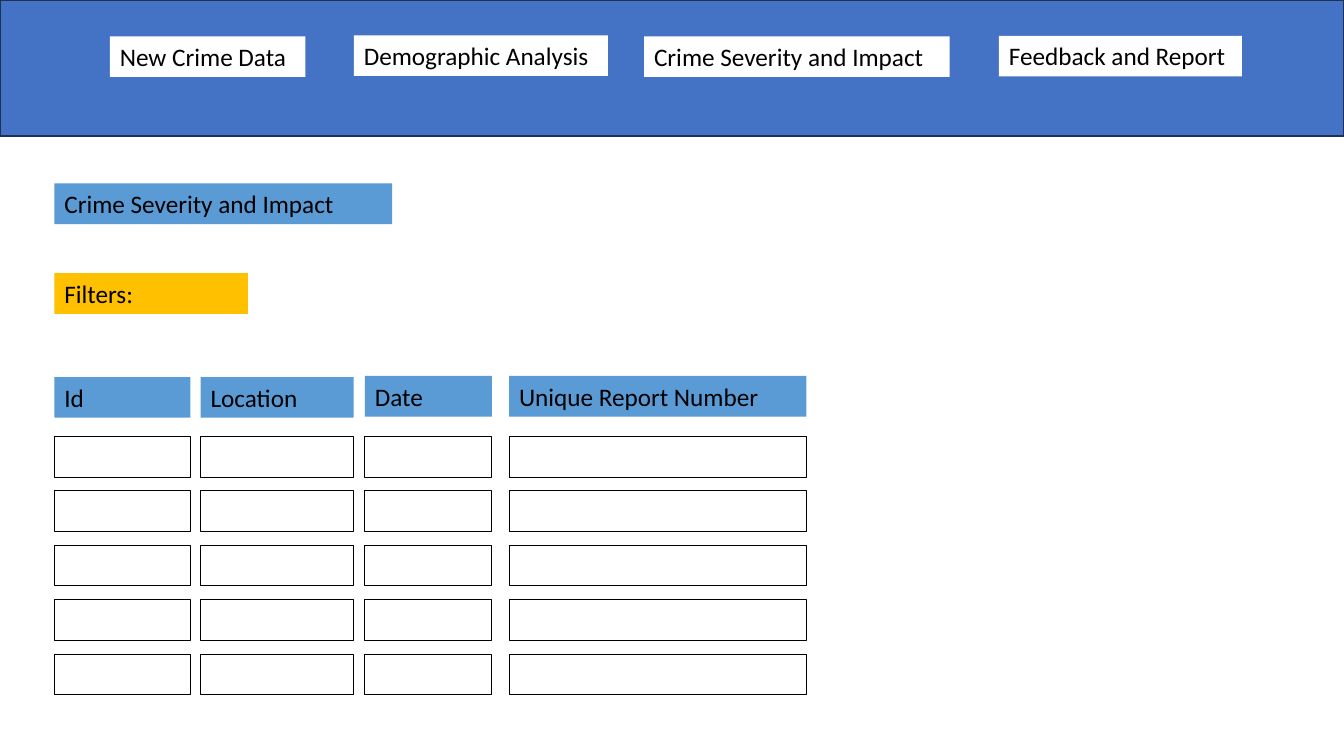
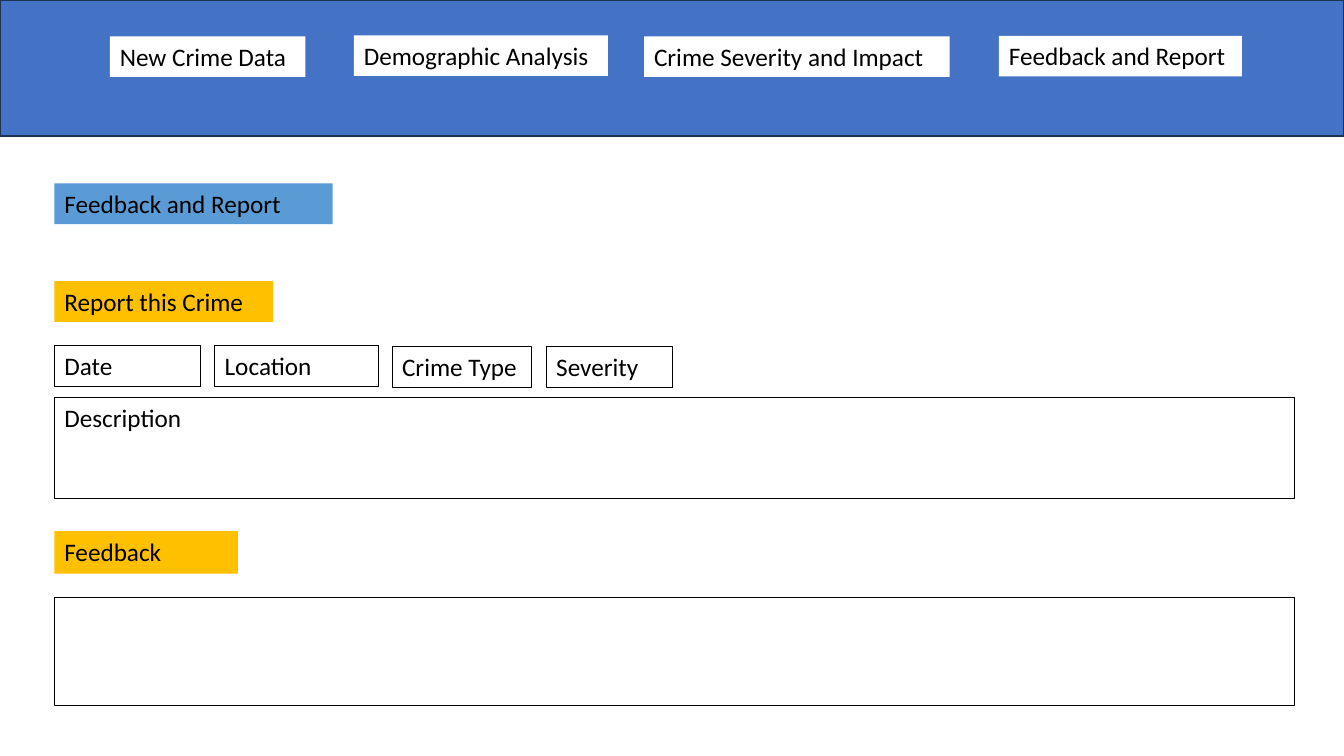
import pptx
import pptx.util
import pptx.dml.color
import pptx.enum.shapes
import pptx.enum.text

# Shared look
BAND, BAND_EDGE = "4472C4", "1E3256"
BLUE, AMBER, WHITE, BLACK = "5B9BD5", "FFC000", "FFFFFF", "000000"
FRAME_FORMAT = {"word_wrap": True, "vertical_anchor": pptx.enum.text.MSO_ANCHOR.TOP}
FONT_FORMAT = {"name": "Calibri", "size": pptx.util.Pt(18)}

# Shared layout, in percent of the slide's width and height
MARGIN, FULL_WIDTH = 4.05, 92.25
LABEL_HEIGHT = 5.38
TITLE_TOP = 24.27
NAVIGATION = [
    ("New Crime Data", 8.18, 4.8, 14.55),
    ("Demographic Analysis", 26.33, 4.67, 18.9),
    ("Crime Severity and Impact", 47.93, 4.8, 22.73),
    ("Feedback and Report", 74.33, 4.73, 18.08),
]

deck = pptx.Presentation()
deck.slide_width = pptx.util.Inches(13.33)
deck.slide_height = pptx.util.Inches(7.5)


def color(code):
    return pptx.dml.color.RGBColor.from_string(code)


def add_box(page, left, top, width, height=LABEL_HEIGHT, text="", fill=None, line=None, weight=0.75):
    across, down = deck.slide_width / 100, deck.slide_height / 100
    box = page.shapes.add_shape(
        pptx.enum.shapes.MSO_SHAPE.RECTANGLE,
        round(left * across), round(top * down), round(width * across), round(height * down))
    box.shadow.inherit = False
    if fill:
        box.fill.solid()
        box.fill.fore_color.rgb = color(fill)
    else:
        box.fill.background()
    if line:
        box.line.color.rgb = color(line)
        box.line.width = pptx.util.Pt(weight)
    else:
        box.line.fill.background()
    if text:
        for key, value in FRAME_FORMAT.items():
            setattr(box.text_frame, key, value)
        para = box.text_frame.paragraphs[0]
        para.alignment = pptx.enum.text.PP_ALIGN.LEFT
        span = para.add_run()
        span.text = text
        for key, value in FONT_FORMAT.items():
            setattr(span.font, key, value)
        span.font.color.rgb = color(BLACK)


# Pages with the navigation band and a page title
pages = []
for title, title_width in [("Crime Severity and Impact", 25.13), ("Feedback and Report", 20.7)]:
    page = deck.slides.add_slide(deck.slide_layouts[6])
    add_box(page, 0, 0, 100, 18, fill=BAND, line=BAND_EDGE, weight=1)
    for text, left, top, width in NAVIGATION:
        add_box(page, left, top, width, text=text, fill=WHITE)
    add_box(page, MARGIN, TITLE_TOP, title_width, text=title, fill=BLUE)
    pages.append(page)
severity_page, feedback_page = pages

# Severity page: filter label, column headings and empty entry rows
add_box(severity_page, MARGIN, 36.13, 14.4, text="Filters:", fill=AMBER)
FIRST_ROW, ROW_STEP, ROW_COUNT = 57.73, 7.2, 5
for heading, left, top, width in [
    ("Id", MARGIN, 49.87, 10.13),
    ("Location", 14.93, 49.87, 11.38),
    ("Date", 27.15, 49.73, 9.45),
    ("Unique Report Number", 37.88, 49.73, 22.13),
]:
    add_box(severity_page, left, top, width, text=heading, fill=BLUE)
    for row in range(ROW_COUNT):
        add_box(severity_page, left, FIRST_ROW + row * ROW_STEP, width, line=BLACK)

# Feedback page: report form
add_box(feedback_page, MARGIN, 37.2, 16.28, text="Report this Crime", fill=AMBER)
for field, left, top, width in [
    ("Date", MARGIN, 45.73, 10.88),
    ("Location", 15.98, 45.73, 12.15),
    ("Crime Type", 29.18, 45.87, 10.35),
    ("Severity", 40.65, 45.87, 9.38),
]:
    add_box(feedback_page, left, top, width, text=field, line=BLACK)
add_box(feedback_page, MARGIN, 52.53, FULL_WIDTH, 13.47, text="Description", line=BLACK)

# Feedback page: feedback area
add_box(feedback_page, MARGIN, 70.27, 13.65, 5.6, text="Feedback", fill=AMBER)
add_box(feedback_page, MARGIN, 79.07, FULL_WIDTH, 14.27, line=BLACK)

deck.save("out.pptx")
